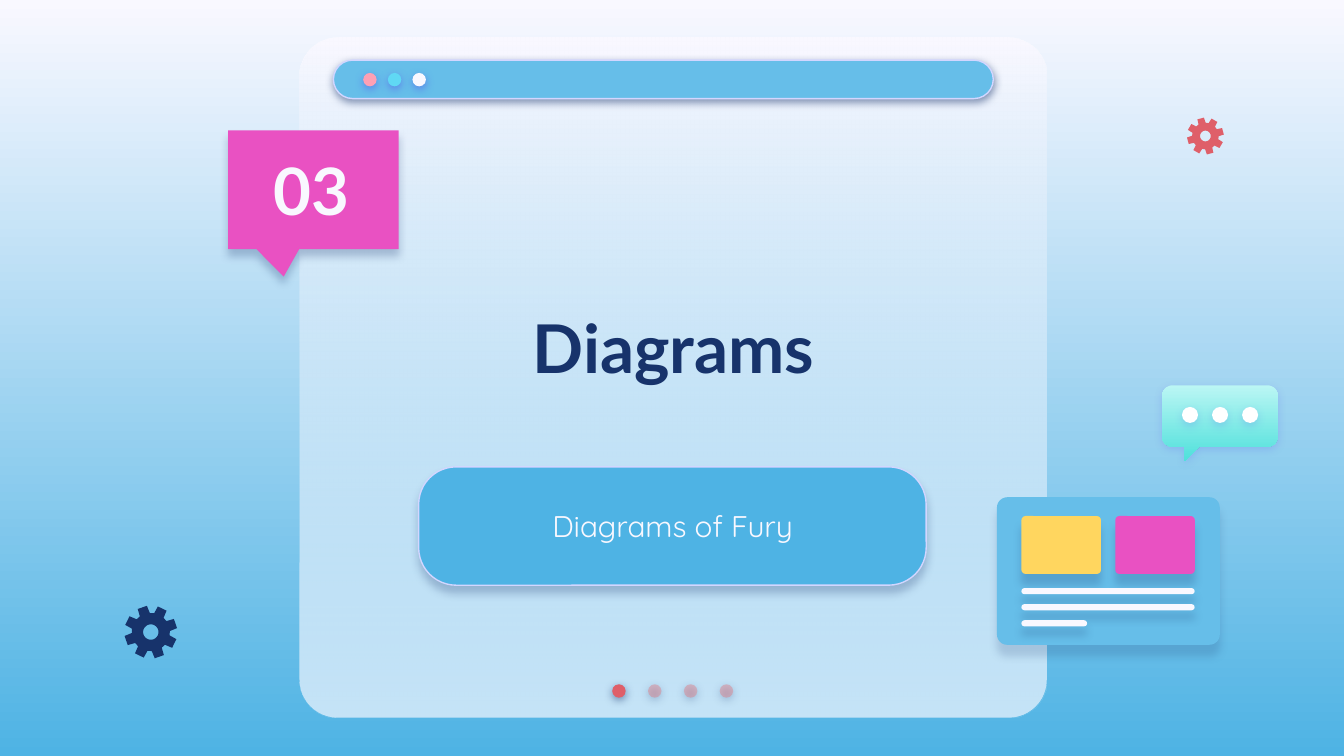
from math import cos, radians, sin

from lxml.etree import SubElement
from pptx import Presentation
from pptx.dml.color import RGBColor
from pptx.enum.shapes import MSO_SHAPE
from pptx.enum.text import MSO_ANCHOR, MSO_AUTO_SIZE, PP_ALIGN
from pptx.oxml.ns import qn
from pptx.util import Pt

NAVY, SKY, PALE, BLUE = "17336B", "66BEE9", "F9F8FF", "4EB3E4"
PINK, RED, VIOLET, EDGE = "E951C2", "DF5F69", "5352EE", "D2D6FF"

# Shadows: colour, opacity in percent, distance in points
FIRM, VIVID, SOFT = (NAVY, 50, 1.5), (VIOLET, 50, 1.5), (NAVY, 25, 3.8)
CARD, TILE, LINE, CHAT = (NAVY, 17, 6), (NAVY, 20, 6), (NAVY, 21, 4.5), (VIOLET, 18, 1.5)


def rgb(value):
    return RGBColor.from_string(value)


def set_fill(fill, colour):
    """Fill with one hex colour, or top to bottom with a pair of them."""
    if isinstance(colour, tuple):
        fill.gradient()
        fill.gradient_angle = 270
        for stop, c in zip(fill.gradient_stops, colour):
            stop.color.rgb = rgb(c)
    else:
        fill.solid()
        fill.fore_color.rgb = rgb(colour)


def set_alpha(sp, percent):
    """Make the last fill colour of the shape translucent."""
    clr = list(sp.element.spPr.iter(qn("a:srgbClr")))[-1]
    SubElement(clr, qn("a:alpha"), val=str(percent * 1000))


def style(sp, colour, shadow=None, alpha=None, line=None):
    set_fill(sp.fill, colour)
    if alpha:
        set_alpha(sp, alpha)
    if line:
        sp.line.color.rgb = rgb(line)
        sp.line.width = Pt(0.75)
    else:
        sp.line.fill.background()
    sp.shadow.inherit = False
    if shadow:
        c, opacity, dist = shadow
        effects = sp.element.spPr.find(qn("a:effectLst"))
        outer = SubElement(effects, qn("a:outerShdw"), blurRad=str(Pt(4.5)),
                           dist=str(Pt(dist)), dir="5400000", algn="bl", rotWithShape="0")
        clr = SubElement(outer, qn("a:srgbClr"), val=c)
        SubElement(clr, qn("a:alpha"), val=str(opacity * 1000))


def add_preset(s, kind, box, colour, adj=(), **look):
    sp = s.shapes.add_shape(kind, *map(Pt, box))
    for i, value in enumerate(adj):
        sp.adjustments[i] = value
    style(sp, colour, **look)
    return sp


def add_round(s, box, colour, adj, **look):
    return add_preset(s, MSO_SHAPE.ROUNDED_RECTANGLE, box, colour, (adj,), **look)


def add_dots(s, left, top, size, step, colours, shadow, alphas=()):
    for i, colour in enumerate(colours):
        add_preset(s, MSO_SHAPE.OVAL, (left + i * step, top, size, size), colour,
                   shadow=shadow, alpha=alphas[i] if alphas else None)


def add_outline(s, contours, colour, **look):
    paths = [[(Pt(x), Pt(y)) for x, y in c] for c in contours]
    builder = s.shapes.build_freeform(*paths[0][0])
    for i, path in enumerate(paths):
        if i:
            builder.move_to(*path[0])
        builder.add_line_segments(path[1:], close=True)
    style(builder.convert_to_shape(), colour, **look)


def polar(cx, cy, radius, angle):
    return cx + radius * cos(radians(angle)), cy + radius * sin(radians(angle))


def add_gear(s, cx, cy, radius, turn, colour):
    """Eight teeth around a round hole."""
    corners = ((-16, 0.72), (-10.5, 1), (10.5, 1), (16, 0.72))
    rim = [polar(cx, cy, radius * k, turn + 45 * tooth + a)
           for tooth in range(8) for a, k in corners]
    hole = [polar(cx, cy, radius * 0.29, -a) for a in range(0, 360, 10)]
    add_outline(s, [rim, hole], colour)


def add_chat_bubble(s, left, top, width, height, radius):
    right, bottom = left + width, top + height
    centres = ((right - radius, top + radius, -90), (right - radius, bottom - radius, 0),
               (left + radius, bottom - radius, 90), (left + radius, top + radius, 180))
    corners = [[polar(x, y, radius, start + a) for a in range(0, 91, 10)]
               for x, y, start in centres]
    tail = [(left + 20, bottom), (left + 12, bottom + 7.8), (left + 12, bottom)]
    add_outline(s, [corners[0] + corners[1] + tail + corners[2] + corners[3]],
                ("BBF6F4", "4EE0DB"), shadow=CHAT)


def set_text(sp, box, text, font, anchor=MSO_ANCHOR.MIDDLE, after=0):
    for name, value in zip(("left", "top", "width", "height"), box):
        setattr(sp, name, Pt(value))
    tf = sp.text_frame
    frame = {"word_wrap": True, "auto_size": MSO_AUTO_SIZE.NONE, "vertical_anchor": anchor}
    frame.update({f"margin_{side}": Pt(7.2) for side in ("left", "top", "right", "bottom")})
    for name, value in frame.items():
        setattr(tf, name, value)
    p = tf.paragraphs[0]
    for name, value in {"alignment": PP_ALIGN.CENTER, "space_before": Pt(0),
                        "space_after": Pt(after)}.items():
        setattr(p, name, value)
    r = p.add_run()
    r.text = text
    for name, value in font.items():
        if name == "color":
            r.font.color.rgb = rgb(value)
        else:
            setattr(r.font, name, value)
    # Bring the text in front of what is drawn so far
    sp.element.getparent().append(sp.element)


def add_window(s):
    panel = (160.5, 20.2, 400.3, 364.3)
    add_round(s, panel, PALE, 0.056)
    add_round(s, panel, (PALE, SKY), 0.056, alpha=35)
    # Page dots, the first one active
    add_dots(s, 328, 366.6, 7.2, 19.2, [RED] + ["E27B83"] * 3, FIRM, (None, 44, 44, 44))
    # Title bar with its buttons
    add_round(s, (178.6, 32.2, 353.5, 20.6), SKY, 0.5, shadow=FIRM, line=EDGE)
    add_dots(s, 194.6, 39.1, 7.2, 13.2, ["FDA0B4", "60D8F4", PALE], VIVID)


def add_card(s):
    add_round(s, (534.1, 266.4, 119.4, 79.1), SKY, 0.07, shadow=CARD)
    for i, colour in enumerate(("FFD65F", PINK)):
        add_round(s, (547.2 + i * 50.3, 276.5, 42.6, 31), colour, 0.07, shadow=TILE)
    for i, width in enumerate((92.8, 92.8, 35.2)):
        add_round(s, (547.2, 315.1 + i * 8.6, width, 3.3), PALE, 0.5, shadow=LINE)


def main():
    prs = Presentation()
    prs.slide_width, prs.slide_height = Pt(720), Pt(405)
    s = prs.slides.add_slide(prs.slide_layouts[0])
    set_fill(s.background.fill, (PALE, BLUE))

    # Window, section callout and subtitle button
    add_window(s)
    add_preset(s, MSO_SHAPE.ROUNDED_RECTANGULAR_CALLOUT, (122.2, 69.8, 91.4, 63.7), PINK,
               (-0.174, 0.731, 0), shadow=SOFT)
    add_round(s, (224.3, 250.1, 271.9, 63.4), BLUE, 0.317, shadow=SOFT, line=EDGE)

    # Texts
    heading = {"name": "Lato", "size": Pt(36), "bold": True, "color": NAVY}
    subtitle = {"name": "Quicksand", "size": Pt(16), "bold": False, "color": PALE}
    number = {**heading, "size": Pt(35), "color": PALE}
    set_text(s.shapes.title, (195.1, 120.2, 331.2, 131), "Diagrams", heading)
    set_text(s.placeholders[1], (252, 253.4, 216.7, 56.2), "Diagrams of Fury", subtitle,
             after=12)

    # Decorations
    add_card(s)
    add_chat_bubble(s, 622.5, 206.4, 62.1, 33, 5.8)
    add_dots(s, 633.2, 218, 8.6, 16.1, ["FFFFFF"] * 3, CHAT)
    add_gear(s, 80.8, 338.6, 14.2, -109, NAVY)
    add_gear(s, 645.8, 72.9, 9.9, -105, RED)

    # Section number
    box = (128.9, 73.4, 76.3, 56.2)
    set_text(s.shapes.add_textbox(*map(Pt, box)), box, "03", number, MSO_ANCHOR.BOTTOM)
    prs.save("out.pptx")


if __name__ == "__main__":
    main()
